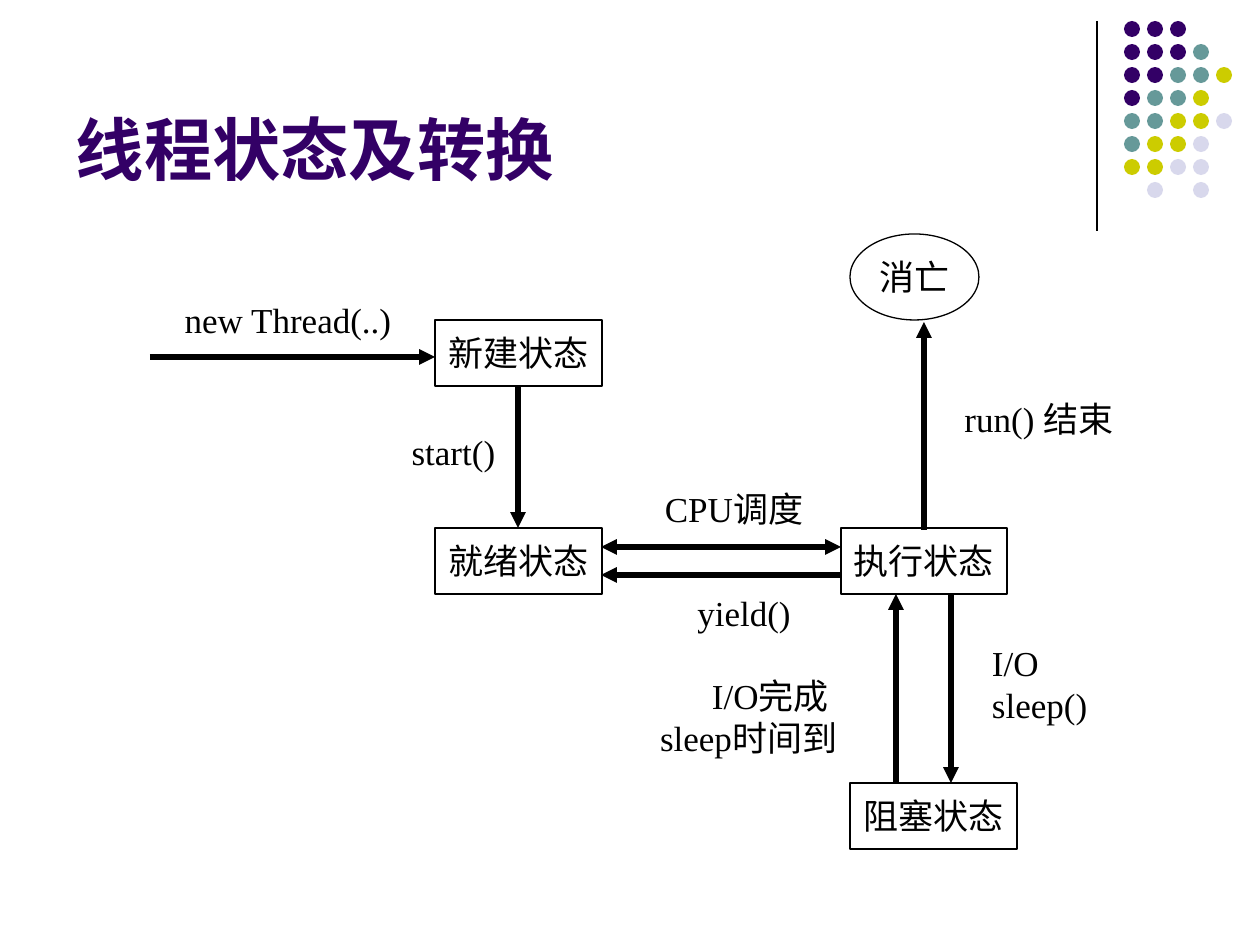
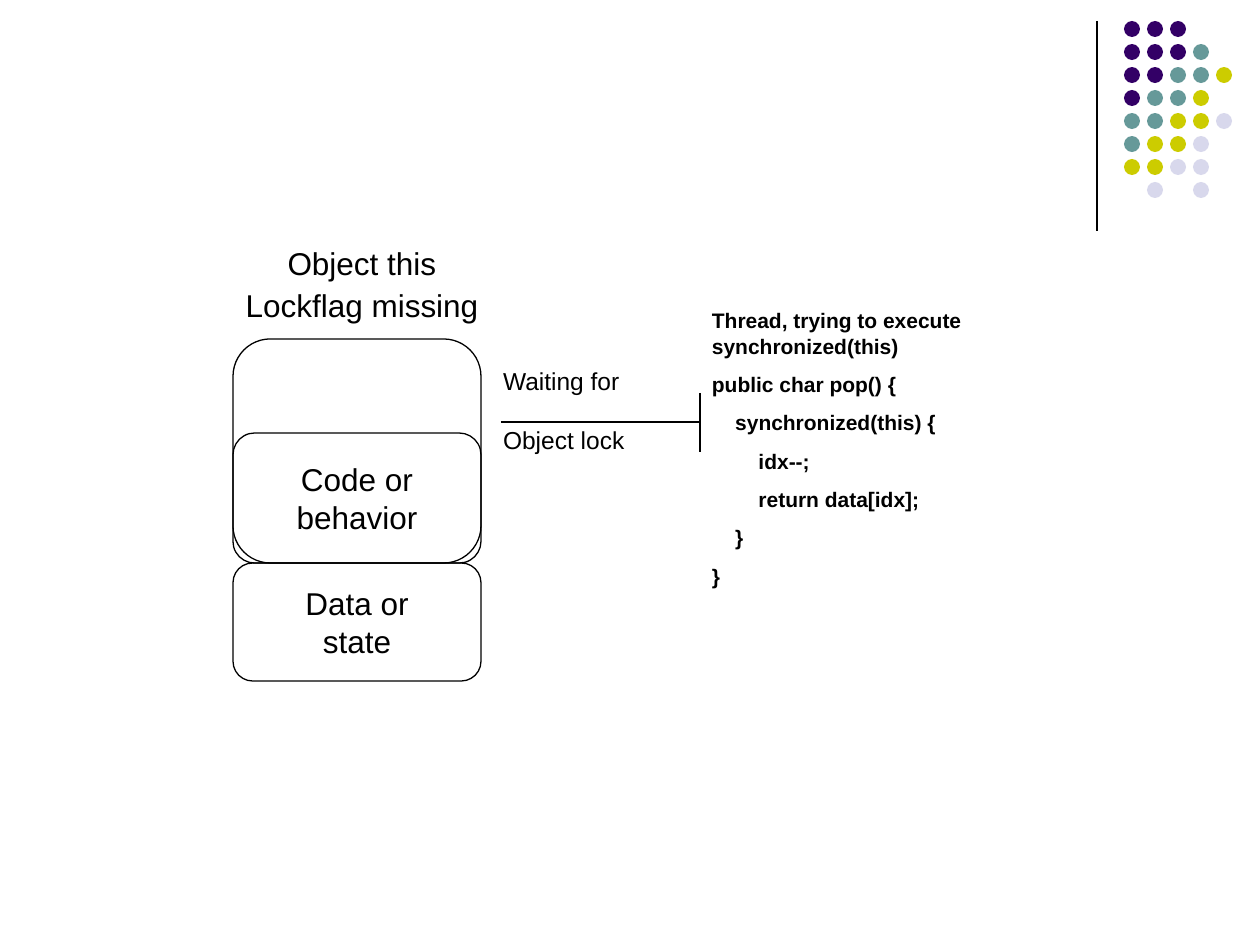
"""Build two slides on thread states and object locks."""
from lxml import etree
from pptx import Presentation
from pptx.dml.color import RGBColor
from pptx.enum.shapes import MSO_CONNECTOR, MSO_SHAPE
from pptx.enum.text import MSO_ANCHOR, PP_ALIGN
from pptx.oxml.ns import qn
from pptx.util import Emu, Pt

PX = 914400 / 126
PURPLE = RGBColor(0x33, 0x00, 0x66)
TEAL = RGBColor(0x66, 0x99, 0x99)
OLIVE = RGBColor(0xCC, 0xCC, 0x00)
LILAC = RGBColor(0xD8, 0xD8, 0xEC)
BLACK = RGBColor(0x00, 0x00, 0x00)
STRAIGHT = MSO_CONNECTOR.STRAIGHT
OVAL = MSO_SHAPE.OVAL
BOX = MSO_SHAPE.RECTANGLE
ROUNDED = MSO_SHAPE.FLOWCHART_ALTERNATE_PROCESS
TOP, MIDDLE, BOTTOM = MSO_ANCHOR.TOP, MSO_ANCHOR.MIDDLE, MSO_ANCHOR.BOTTOM
LEFT, CENTER = PP_ALIGN.LEFT, PP_ALIGN.CENTER

STATE_FONT = {"name": "Times New Roman", "size": Pt(20), "color": BLACK}
OBJECT_FONT = {"name": "Arial", "size": Pt(18), "color": BLACK}
LOCK_FONT = {"name": "Arial", "size": Pt(14), "color": BLACK}
CODE_FONT = {"name": "Arial", "size": Pt(12), "color": BLACK, "bold": True}
TITLE_FONT = {"name": "Arial", "size": Pt(39), "color": PURPLE, "bold": True}


def write_text(shape, lines, font, align=CENTER, anchor=MIDDLE, wrap=False,
               gap=0, first_indent=0):
    frame = shape.text_frame
    frame.text = "\n".join(lines)
    frame.word_wrap = wrap
    frame.vertical_anchor = anchor
    frame.margin_left = frame.margin_right = Emu(round(13 * PX))
    frame.margin_top = frame.margin_bottom = Emu(round(6 * PX))
    for index, paragraph in enumerate(frame.paragraphs):
        paragraph.alignment = align
        paragraph.space_before = Pt(gap if index else 0)
        for run in paragraph.runs:
            for key, value in font.items():
                if key == "color":
                    run.font.color.rgb = value
                else:
                    setattr(run.font, key, value)
    if first_indent:
        properties = shape.element.find(".//" + qn("a:pPr"))
        properties.set("marL", str(round(first_indent * PX)))


def add_line(shapes, ends, width, heads=()):
    line = shapes.add_connector(STRAIGHT, *[Emu(round(v * PX)) for v in ends])
    line.line.color.rgb = BLACK
    line.line.width = Pt(width)
    properties = line.element.spPr
    for head in heads:
        etree.SubElement(properties.find(qn("a:ln")), qn(head), type="triangle")
    etree.SubElement(properties, qn("a:effectLst"))


presentation = Presentation()
presentation.slide_width = Emu(round(1260 * PX))
presentation.slide_height = Emu(round(945 * PX))
state_slide = presentation.slides.add_slide(presentation.slide_layouts[5])
lock_slide = presentation.slides.add_slide(presentation.slide_layouts[6])

DOT_COLORS = {"P": PURPLE, "T": TEAL, "O": OLIVE, "L": LILAC}
DOT_ROWS = ["PPP", "PPPT", "PPTTO", "PTTO", "TTOOL", "TOOL", "OOLL", "-L-L"]
decoration = state_slide.shapes.add_group_shape()
add_line(decoration.shapes, (1097, 21, 1097, 231), 0.75)
for row, codes in enumerate(DOT_ROWS):
    for column, code in enumerate(codes):
        if code in DOT_COLORS:
            place = (1124 + 23 * column, 21 + 23 * row, 16, 16)
            dot = decoration.shapes.add_shape(OVAL, *[Emu(round(v * PX)) for v in place])
            dot.shadow.inherit = False
            dot.fill.solid()
            dot.fill.fore_color.rgb = DOT_COLORS[code]
            dot.line.fill.background()
presentation.slide_master.shapes.element.append(decoration.element)

title = state_slide.shapes.title
title.left, title.top, title.width, title.height = [
    Emu(round(v * PX)) for v in (63, 16, 1040, 179)]
write_text(title, ["线程状态及转换"], TITLE_FONT, LEFT, BOTTOM, True)

outlined_shapes = [
    (state_slide, BOX, (435, 320, 167, 66), ["新建状态"], STATE_FONT),
    (state_slide, BOX, (435, 528, 167, 66), ["就绪状态"], STATE_FONT),
    (state_slide, BOX, (841, 528, 166, 66), ["执行状态"], STATE_FONT),
    (state_slide, BOX, (850, 783, 167, 66), ["阻塞状态"], STATE_FONT),
    (state_slide, OVAL, (850, 234, 129, 86), ["消亡"], STATE_FONT),
    (lock_slide, ROUNDED, (233, 339, 248, 224), [], OBJECT_FONT),
    (lock_slide, ROUNDED, (233, 433, 248, 130), ["Code or", "behavior"], OBJECT_FONT),
    (lock_slide, ROUNDED, (233, 563, 248, 118), ["Data or", "state"], OBJECT_FONT),
]
for slide, kind, place, lines, font in outlined_shapes:
    shape = slide.shapes.add_shape(kind, *[Emu(round(v * PX)) for v in place])
    shape.shadow.inherit = False
    shape.fill.background()
    shape.line.color.rgb = BLACK
    shape.line.width = Pt(0.75)
    if lines:
        write_text(shape, lines, font)

HEAD, TAIL = "a:headEnd", "a:tailEnd"
transitions = [
    ((150, 357, 435, 357), [TAIL]),
    ((518, 386, 518, 528), [TAIL]),
    ((601, 547, 841, 547), [HEAD, TAIL]),
    ((841, 575, 601, 575), [TAIL]),
    ((924, 530, 924, 322), [TAIL]),
    ((951, 594, 951, 783), [TAIL]),
    ((896, 783, 896, 594), [TAIL]),
]
for ends, heads in transitions:
    add_line(state_slide.shapes, ends, 3, heads)
for ends in [(501, 422, 700, 422), (700, 393, 700, 452)]:
    add_line(lock_slide.shapes, ends, 1)

CODE = [
    "Thread, trying to execute synchronized(this)",
    "public char pop() {",
    "    synchronized(this) {",
    "        idx--;",
    "        return data[idx];",
    "    }",
    "}",
]
CENTERED = {"align": CENTER, "anchor": MIDDLE}
LISTED = {"align": LEFT, "anchor": MIDDLE, "wrap": True}
HEADED = {"align": CENTER, "anchor": TOP}
NOTED = {"align": LEFT, "anchor": TOP, "wrap": True}
labels = [
    (state_slide, (159, 291, 258, 57), ["new Thread(..)"], STATE_FONT, CENTERED),
    (state_slide, (398, 423, 111, 57), ["start()"], STATE_FONT, CENTERED),
    (state_slide, (634, 480, 200, 57), ["CPU调度"], STATE_FONT, CENTERED),
    (state_slide, (666, 584, 156, 57), ["yield()"], STATE_FONT, CENTERED),
    (state_slide, (932, 385, 214, 67), ["run() 结束"], STATE_FONT, CENTERED),
    (state_slide, (979, 622, 139, 123), ["I/O", "sleep()"], STATE_FONT, LISTED),
    (state_slide, (647, 650, 248, 132), ["I/O完成", "sleep时间到"], STATE_FONT,
     {**LISTED, "first_indent": 52}),
    (lock_slide, (223, 238, 278, 38), ["Object this"], OBJECT_FONT, HEADED),
    (lock_slide, (212, 280, 300, 50), ["Lockflag missing"], OBJECT_FONT, HEADED),
    (lock_slide, (490, 360, 160, 101), ["Waiting for", "Object lock"], LOCK_FONT,
     {**NOTED, "gap": 17}),
    (lock_slide, (699, 302, 367, 294), CODE, CODE_FONT, {**NOTED, "gap": 7.5}),
]
for slide, place, lines, font, layout in labels:
    label = slide.shapes.add_textbox(*[Emu(round(v * PX)) for v in place])
    write_text(label, lines, font, **layout)

presentation.save("out.pptx")
